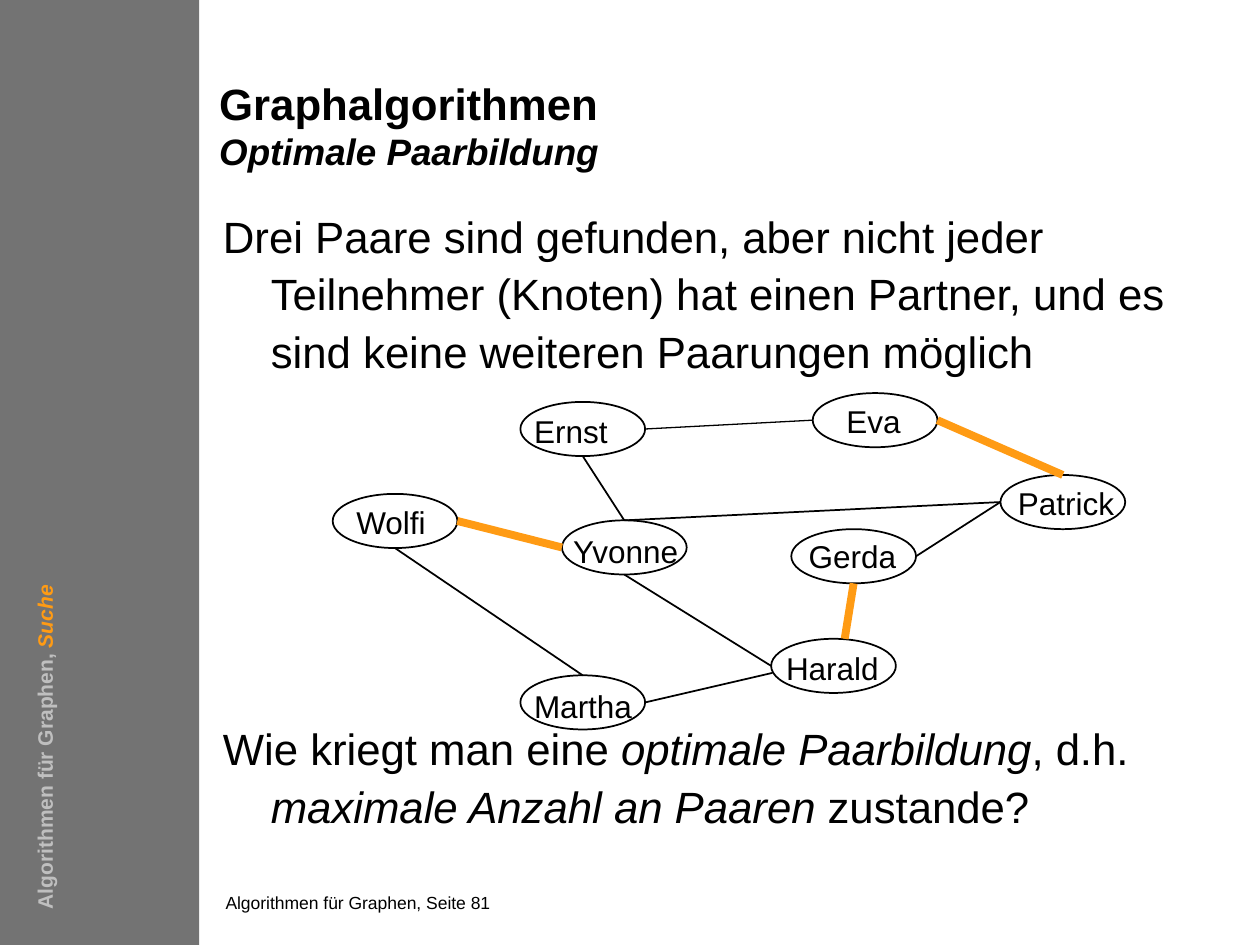
from dataclasses import dataclass

from lxml import etree
from pptx import Presentation
from pptx.dml.color import RGBColor
from pptx.enum.shapes import MSO_CONNECTOR, MSO_SHAPE
from pptx.oxml.ns import qn
from pptx.util import Inches, Pt

RECT, ELLIPSE = MSO_SHAPE.RECTANGLE, MSO_SHAPE.OVAL
STRAIGHT = MSO_CONNECTOR.STRAIGHT


@dataclass(frozen=True)
class Theme:
    font: str = "Arial"
    black: str = "000000"
    band: str = "737373"
    muted: str = "BFBFBF"
    accent: str = "FF9B14"
    title: int = 25
    subtitle: int = 21
    body: int = 25
    node: int = 18
    side: int = 12
    footer: int = 10
    thin: float = 1
    thick: float = 4.5


T = Theme()

# Ellipses: left, top, then the offset of the label box and its width
NODE_W, NODE_H, LABEL_H = 0.99, 0.43, 0.4
NODES = {
    "Wolfi": (2.64, 3.92, 0.09, 0.02, 0.76),
    "Ernst": (4.13, 3.19, 0.01, 0.03, 0.78),
    "Eva": (6.45, 3.12, 0.17, 0.02, 0.63),
    "Patrick": (7.94, 3.77, 0.04, 0.02, 0.97),
    "Yvonne": (4.46, 4.13, -0.01, 0.04, 1.05),
    "Gerda": (6.28, 4.2, 0.04, 0.01, 0.9),
    "Harald": (6.12, 5.07, 0.02, 0.03, 0.94),
    "Martha": (4.13, 5.36, 0.01, 0.04, 0.98),
}

# Docking points as fractions of the ellipse's width and height
SITES = {
    "top": (0.5, 0), "bottom": (0.5, 1), "left": (0, 0.5), "right": (1, 0.5),
    "top right": (0.59, 0), "lower left": (0.01, 0.63),
}
PAIRS = [
    ("Wolfi", "right", "Yvonne", "left"),
    ("Eva", "right", "Patrick", "top"),
    ("Gerda", "bottom", "Harald", "top right"),
]
EDGES = [
    ("Ernst", "bottom", "Yvonne", "top"),
    ("Wolfi", "bottom", "Martha", "top"),
    ("Patrick", "left", "Gerda", "right"),
    ("Harald", "left", "Yvonne", "bottom"),
    ("Yvonne", "top", "Patrick", "left"),
    ("Martha", "right", "Harald", "lower left"),
]


def color(value):
    return RGBColor.from_string(value)


def add_run(p, text, size, fill=T.black, bold=False, italic=False):
    r = p.add_run()
    r.text = text
    f = r.font
    f.name, f.size, f.bold, f.italic = T.font, Pt(size), bold, italic
    f.color.rgb = color(fill)


def add_box(s, x, y, w, h, left=0, top=0, wrap=True):
    sp = s.shapes.add_textbox(Inches(x), Inches(y), Inches(w), Inches(h))
    tf = sp.text_frame
    tf.word_wrap = wrap
    tf.margin_left, tf.margin_right = Inches(left), 0
    tf.margin_top = tf.margin_bottom = Inches(top)
    return sp


def add_shape(s, kind, x, y, w, h, fill=None, line=None):
    sp = s.shapes.add_shape(kind, Inches(x), Inches(y), Inches(w), Inches(h))
    sp.shadow.inherit = False
    if fill:
        sp.fill.solid()
        sp.fill.fore_color.rgb = color(fill)
    else:
        sp.fill.background()
    if line:
        sp.line.color.rgb = color(line)
        sp.line.width = Pt(T.thin)
    else:
        sp.line.fill.background()


def add_node(s, name):
    x, y, dx, dy, w = NODES[name]
    add_shape(s, ELLIPSE, x, y, NODE_W, NODE_H, line=T.black)
    # No right inset, so that the name always fits on one line
    sp = add_box(s, x + dx, y + dy, w, LABEL_H, left=0.1, top=0.05, wrap=False)
    add_run(sp.text_frame.paragraphs[0], name, T.node)


def site(name, side):
    x, y = NODES[name][:2]
    fx, fy = SITES[side]
    return Inches(x + fx * NODE_W), Inches(y + fy * NODE_H)


def add_edge(s, start, start_side, end, end_side, line=T.black, width=T.thin):
    c = s.shapes.add_connector(STRAIGHT, *site(start, start_side), *site(end, end_side))
    c.line.color.rgb = color(line)
    c.line.width = Pt(width)
    etree.SubElement(c._element.spPr, qn("a:effectLst"))


def add_title(s):
    p = add_box(s, 1.74, 0.67, 5.1, 0.75).text_frame.paragraphs[0]
    p.line_spacing = Pt(25.4)
    add_run(p, "Graphalgorithmen", T.title, bold=True)
    p.add_line_break()
    add_run(p, "Optimale Paarbildung", T.subtitle, bold=True, italic=True)


def add_body(s):
    tf = add_box(s, 1.77, 1.62, 8.07, 5.36).text_frame
    finding, question = tf.paragraphs[0], tf.add_paragraph()
    for p in (finding, question):
        p.line_spacing = 1.1
        pPr = p._p.get_or_add_pPr()
        pPr.set("marL", str(Inches(0.38)))
        pPr.set("indent", str(-Inches(0.38)))
    question.space_before = Pt(194)  # room for the graph
    add_run(finding, "Drei Paare sind gefunden, aber nicht jeder Teilnehmer (Knoten) "
            "hat einen Partner, und es sind keine weiteren Paarungen möglich", T.body)
    for text, italic in (("Wie kriegt man eine ", False), ("optimale Paarbildung", True),
                         (", d.h. ", False), ("maximale Anzahl an Paaren", True),
                         (" zustande?", False)):
        add_run(question, text, T.body, italic=italic)


def add_side_label(s):
    sp = add_box(s, -1.98, 4.83, 4.67, 0.3, left=0.1, top=0.05)
    sp.rotation = 270
    p = sp.text_frame.paragraphs[0]
    add_run(p, "Algorithmen für Graphen, ", T.side, fill=T.muted, bold=True)
    add_run(p, "Suche", T.side, fill=T.accent, bold=True, italic=True)


def main():
    prs = Presentation()
    prs.slide_width, prs.slide_height = Inches(10), Inches(7.5)
    s = prs.slides.add_slide(prs.slide_layouts[6])

    # Side band and footer
    add_shape(s, RECT, 0, 0, 1.58, 7.5, fill=T.band)
    footer = add_box(s, 1.79, 7.08, 4.86, 0.21)
    add_run(footer.text_frame.paragraphs[0], "Algorithmen für Graphen, Seite 81", T.footer)

    # Title and text
    add_title(s)
    add_body(s)

    # Graph with the pairs found so far
    for name in NODES:
        add_node(s, name)
    for edge in EDGES:
        add_edge(s, *edge)
    add_edge(s, "Ernst", "right", "Eva", "left", width=0.75)
    for pair in PAIRS:
        add_edge(s, *pair, line=T.accent, width=T.thick)

    add_side_label(s)
    prs.save("out.pptx")


if __name__ == "__main__":
    main()
